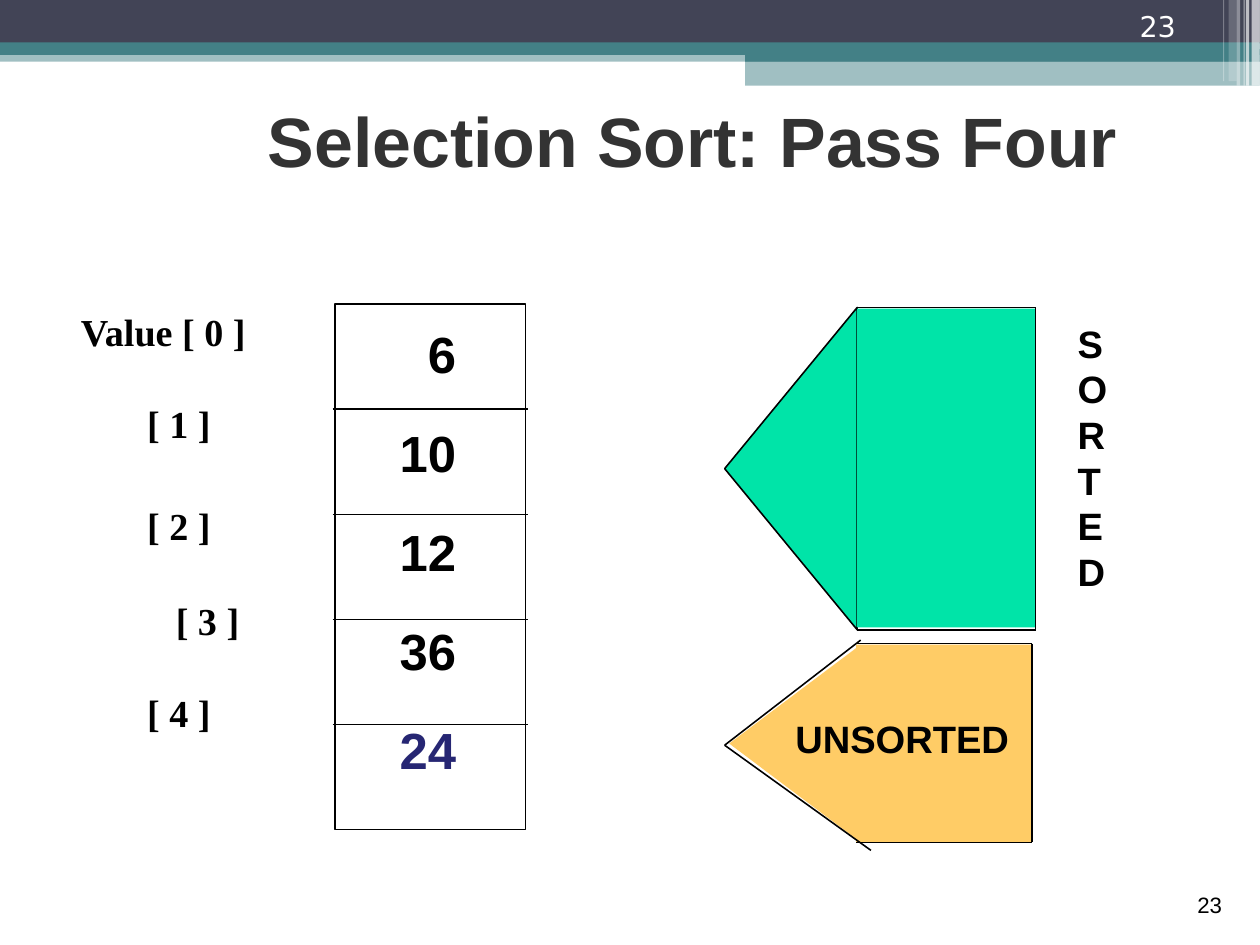
from dataclasses import dataclass

from lxml import etree
from pptx import Presentation
from pptx import util as u
from pptx.dml.color import RGBColor
from pptx.enum import shapes, text
from pptx.oxml.ns import qn

RECT = shapes.MSO_SHAPE.RECTANGLE
TRIANGLE = shapes.MSO_SHAPE.ISOSCELES_TRIANGLE
LEFT, CENTER, RIGHT = text.PP_ALIGN.LEFT, text.PP_ALIGN.CENTER, text.PP_ALIGN.RIGHT
TOP, BOTTOM = text.MSO_ANCHOR.TOP, text.MSO_ANCHOR.BOTTOM


@dataclass(frozen=True)
class Theme:
    navy: str = "424456"
    teal: str = "438086"
    white: str = "FFFFFF"
    ink: str = "000000"
    heading: str = "333333"
    current: str = "262673"
    sorted_fill: str = "00E4A8"
    unsorted_fill: str = "FFCC66"
    sans: str = "Arial"
    serif: str = "Times New Roman"
    badge_font: str = "DejaVu Sans"
    title_size: int = 44
    value_size: int = 32
    label_size: int = 24
    badge_size: int = 18
    footer_size: int = 14
    line_width: float = 1


class SlideBuilder:
    def __init__(self, slide, theme):
        self.slide = slide
        self.theme = theme

    def block(self, left, top, width, height, fill=None, opacity=100,
              outlined=False, kind=RECT, rotation=0):
        """Draw a preset shape; opacity is a percentage."""
        shape = self.slide.shapes.add_shape(
            kind, *map(u.Inches, (left, top, width, height)))
        shape.shadow.inherit = False
        shape.rotation = rotation
        if fill:
            shape.fill.solid()
            shape.fill.fore_color.rgb = RGBColor.from_string(fill)
            if opacity < 100:
                color = shape.fill._xPr.find(qn("a:solidFill"))[0]
                etree.SubElement(color, qn("a:alpha"), val=str(opacity * 1000))
        else:
            shape.fill.background()
        if outlined:
            self.stroke(shape.line)
        else:
            shape.line.fill.background()

    def arrowhead(self, left, top, width, height, fill, outlined=False):
        """Draw a left-pointing triangle inside the given visible bounds."""
        shift = (width - height) / 2
        self.block(left + shift, top - shift, height, width, fill,
                   outlined=outlined, kind=TRIANGLE, rotation=270)

    def line(self, x1, y1, x2, y2):
        connector = self.slide.shapes.add_connector(
            shapes.MSO_CONNECTOR.STRAIGHT, *map(u.Inches, (x1, y1, x2, y2)))
        self.stroke(connector.line)
        etree.SubElement(connector._element.spPr, qn("a:effectLst"))

    def stroke(self, line):
        line.color.rgb = RGBColor.from_string(self.theme.ink)
        line.width = u.Pt(self.theme.line_width)

    def text(self, left, top, width, height, lines, size, font=None, bold=True,
             color=None, align=LEFT, anchor=TOP, wrap=False, gaps=(), indents=(),
             last_color=None, inset=(0.1, 0.05)):
        """Write one paragraph per line; gaps are points before lines two onward."""
        box = self.slide.shapes.add_textbox(
            *map(u.Inches, (left, top, width, height)))
        frame = box.text_frame
        across, down = map(u.Inches, inset)
        frame_format = {"word_wrap": wrap, "vertical_anchor": anchor,
                        "margin_left": across, "margin_right": across,
                        "margin_top": down, "margin_bottom": down}
        for name, value in frame_format.items():
            setattr(frame, name, value)
        font_format = {"name": font or self.theme.sans, "size": u.Pt(size), "bold": bold}
        for index, words in enumerate(lines):
            paragraph = frame.paragraphs[0] if index == 0 else frame.add_paragraph()
            paragraph.alignment = align
            if index and gaps:
                paragraph.space_before = u.Pt(gaps[index - 1])
            if indents:
                paragraph._p.get_or_add_pPr().set("marL", str(u.Inches(indents[index])))
            run = paragraph.add_run()
            run.text = words
            for name, value in font_format.items():
                setattr(run.font, name, value)
            is_last = index == len(lines) - 1
            shade = last_color if last_color and is_last else color
            run.font.color.rgb = RGBColor.from_string(shade or self.theme.ink)


def draw_header(page, theme):
    width, split = 11.02, 6.52
    page.block(0, 0.44, width, 0.1, theme.teal, 50)
    page.block(0, 0, width, 0.38, theme.navy)
    page.block(0, 0.37, width, 0.11, theme.teal)
    page.block(split, 0.43, width - split, 0.11, theme.teal)
    page.block(split, 0.53, width - split, 0.22, theme.teal, 50)
    stripes = [(10.95, 0.07, 0.75, 65), (10.9, 0.03, 0.75, 65),
               (10.88, 0.01, 0.75, 60), (10.82, 0.03, 0.75, 40),
               (10.75, 0.07, 0.71, 20), (10.7, 0.01, 0.71, 30)]
    for left, stripe_width, height, opacity in stripes:
        page.block(left, 0, stripe_width, height, theme.white, opacity)


def draw_array(page, theme):
    left, top, width, cell_height = 2.93, 2.66, 1.67, 0.92
    values = ["6", "10", "12", "36", "24"]
    page.text(0.61, 2.65, 2.2, 3.8,
              ["Value [ 0 ]", "[ 1 ]", "[ 2 ]", "[ 3 ]", "[ 4 ]"],
              theme.label_size, theme.serif,
              gaps=(28.8, 36, 31, 28.8), indents=(0, 0.58, 0.58, 0.83, 0.58))
    page.block(left, top, width, cell_height * len(values), outlined=True)
    for row in range(1, len(values)):
        y = top + row * cell_height
        page.line(left - 0.02, y, left + width + 0.02, y)
    page.text(3.39, 2.77, 0.7, 4.1, values, theme.value_size, align=RIGHT,
              gaps=[24] * 4, last_color=theme.current)


def draw_sorted(page, theme):
    left, top, right, bottom = 7.5, 2.69, 9.06, 5.51
    page.text(9.33, 2.75, 0.46, 2.5, "SORTED", theme.label_size)
    page.arrowhead(6.34, top, 1.16, bottom - top, theme.sorted_fill, outlined=True)
    page.block(left, 2.7, right - left, 2.79, theme.sorted_fill)
    for y in (top, bottom):
        page.line(left, y, right, y)
    page.line(right, top, right, bottom)


def draw_unsorted(page, theme):
    left, top, right, bottom = 7.49, 5.63, 9.03, 7.37
    tip_x, tip_y = 6.34, 6.52
    page.arrowhead(6.38, 5.64, 1.15, 1.73, theme.unsorted_fill)
    page.block(left, 5.64, right - left, 1.73, theme.unsorted_fill)
    for y in (top, bottom):
        page.line(left, y, right, y)
    page.line(right, top, right, bottom)
    for x, y in ((7.53, 5.6), (7.62, 7.44)):
        page.line(tip_x, tip_y, x, y)
    page.text(6.86, 6.21, 2.07, 0.5, ["UNSORTED"], theme.label_size)


def main():
    theme = Theme()
    deck = Presentation()
    deck.slide_width = u.Cm(28)
    deck.slide_height = u.Cm(21)
    page = SlideBuilder(deck.slides.add_slide(deck.slide_layouts[6]), theme)

    draw_header(page, theme)
    page.text(1.53, 0.26, 9.07, 1.38, ["Selection Sort: Pass Four"], theme.title_size,
              color=theme.heading, align=CENTER, anchor=BOTTOM, wrap=True)
    draw_array(page, theme)
    draw_sorted(page, theme)
    draw_unsorted(page, theme)
    page.text(8.49, 7.53, 2.3, 0.55, ["23"], theme.footer_size, bold=False,
              align=RIGHT, anchor=BOTTOM, wrap=True)
    page.text(9.86, 0, 0.92, 0.44, ["23"], theme.badge_size, theme.badge_font,
              bold=False, color=theme.white, anchor=BOTTOM, wrap=True,
              inset=(0.11, 0.06))
    deck.save("out.pptx")


if __name__ == "__main__":
    main()
